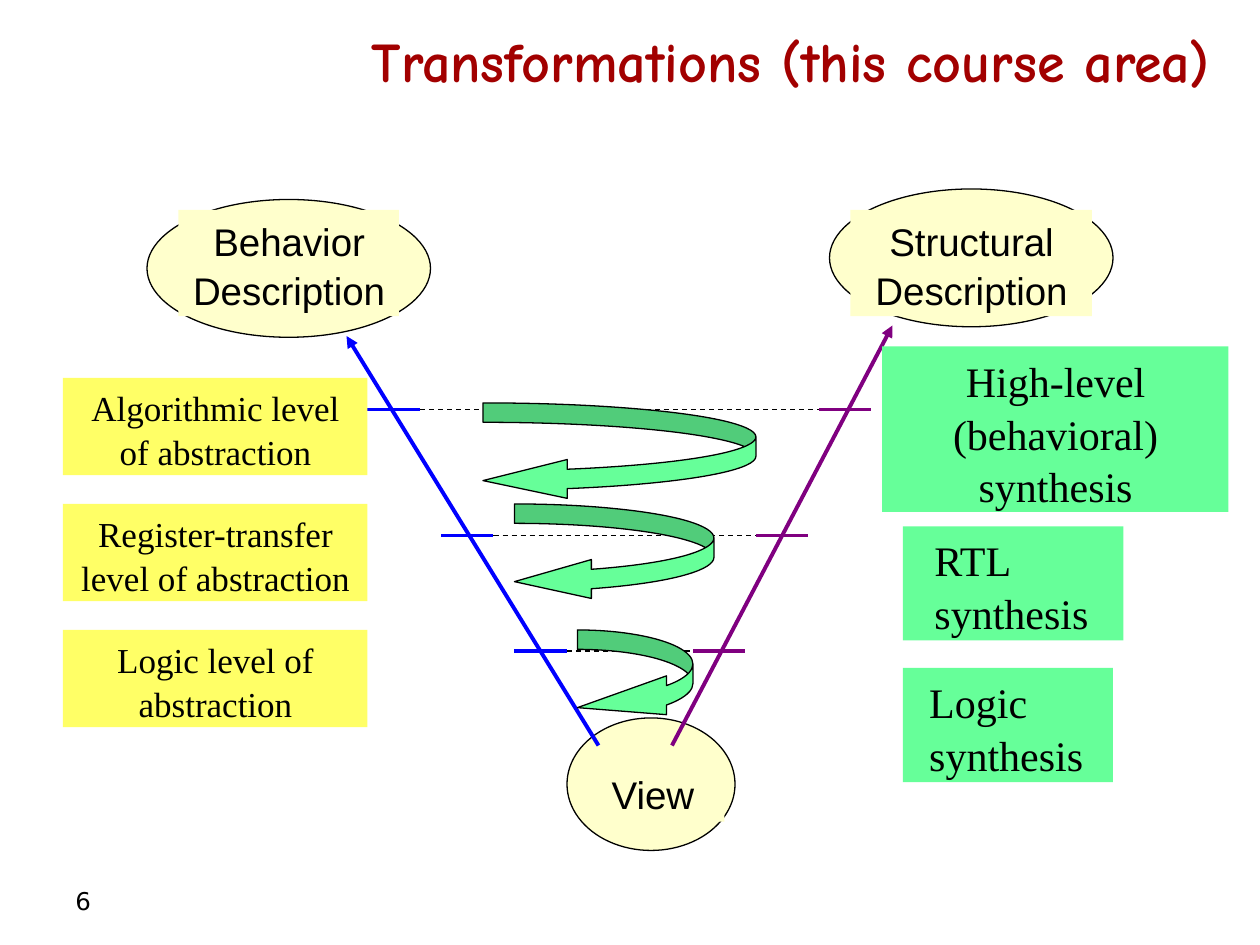
"""Build the slide on transformations between behavior and structure."""
from lxml import etree
from pptx import Presentation
from pptx import util as u
from pptx.dml.color import RGBColor
from pptx.enum import dml, shapes, text
from pptx.oxml.ns import qn

PX = 9525
COLORS = {
    "ink": "000000", "title": "A20000", "cream": "FFFFCC", "yellow": "FFFF66",
    "green": "66FF99", "behavior": "0000FF", "structure": "800080",
}
LEFT, CENTER, RIGHT = text.PP_ALIGN.LEFT, text.PP_ALIGN.CENTER, text.PP_ALIGN.RIGHT


class Diagram:
    """Draws styled elements on one slide, with lengths in px."""

    def __init__(self, slide):
        self.slide = slide

    def color(self, name):
        return RGBColor.from_string(COLORS[name])

    def set_words(self, frame, words, size, font, color="ink", align=LEFT, bold=False):
        frame.word_wrap = True
        frame.text = words
        paragraph = frame.paragraphs[0]
        paragraph.alignment = align
        for run in paragraph.runs:
            run.font.size = u.Pt(size)
            run.font.name = font
            run.font.bold = bold
            run.font.color.rgb = self.color(color)

    def label(self, box, words, size, font, **style):
        frame = self.slide.shapes.add_textbox(*(n * PX for n in box)).text_frame
        frame.vertical_anchor = text.MSO_ANCHOR.MIDDLE
        self.set_words(frame, words, size, font, **style)

    def shape(self, kind, box, fill, outlined=True):
        part = self.slide.shapes.add_shape(kind, *(n * PX for n in box))
        part.shadow.inherit = False
        part.fill.solid()
        part.fill.fore_color.rgb = self.color(fill)
        if outlined:
            part.line.color.rgb = self.color("ink")
            part.line.width = u.Pt(0.75)
        else:
            part.line.fill.background()
        return part

    def ellipse(self, box):
        self.shape(shapes.MSO_SHAPE.OVAL, box, "cream")

    def panel(self, box, fill, words, size, font, align=CENTER, indent=10):
        part = self.shape(shapes.MSO_SHAPE.RECTANGLE, box, fill, outlined=False)
        frame = part.text_frame
        frame.vertical_anchor = text.MSO_ANCHOR.TOP
        frame.margin_left = indent * PX
        self.set_words(frame, words, size, font, align=align)
        frame.paragraphs[0].line_spacing = 1.05

    def turn(self, box, head):
        arrow = self.shape(shapes.MSO_SHAPE.CURVED_RIGHT_ARROW, box, "green")
        for index, value in enumerate((0.2, 0.4, head)):
            arrow.adjustments[index] = value
        arrow.element.spPr.find(qn("a:xfrm")).set("flipH", "1")

    def line(self, start, end, color, width=2.25, dashed=False, arrow=False):
        ends = (n * PX for n in (*start, *end))
        link = self.slide.shapes.add_connector(shapes.MSO_CONNECTOR.STRAIGHT, *ends)
        link.line.color.rgb = self.color(color)
        link.line.width = u.Pt(width)
        properties = link.element.spPr
        if dashed:
            link.line.dash_style = dml.MSO_LINE.DASH
        if arrow:
            etree.SubElement(properties.find(qn("a:ln")), qn("a:tailEnd"), type="triangle")
        etree.SubElement(properties, qn("a:effectLst"))


def main():
    deck = Presentation()
    deck.slide_width, deck.slide_height = 960 * PX, 720 * PX
    diagram = Diagram(deck.slides.add_slide(deck.slide_layouts[6]))

    diagram.label((48, 667, 224, 38), "6", 14, "DejaVu Sans")
    diagram.label((61, 12, 871, 67), "Transformations (this course area)", 32,
                  "Comic Neue", color="title", align=RIGHT, bold=True)

    diagram.ellipse((432, 547, 128, 101))
    diagram.panel((456, 581, 96, 45), "cream", "View", 22, "Arial", align=LEFT)
    diagram.line((456, 568), (264, 256), "behavior", arrow=True)
    diagram.line((512, 568), (680, 248), "structure", arrow=True)

    for oval, box, words in (
        ((112, 152, 216, 105), (136, 160, 168, 81), "Behavior Description"),
        ((632, 144, 216, 105), (648, 160, 184, 81), "Structural Description"),
    ):
        diagram.ellipse(oval)
        diagram.panel(box, "cream", words, 22, "Arial")

    tick = 40
    levels = (
        (312, 280, 624, "Algorithmic level of abstraction",
         (368, 307, 208, 74), 0.867,
         (672, 264, 264, 126), "High-level (behavioral) synthesis", CENTER, 10),
        (408, 336, 576, "Register-transfer level of abstraction",
         (392, 384, 152, 74), 0.792,
         (688, 401, 168, 87), "RTL synthesis", LEFT, 24),
        (496, 392, 528, "Logic level of abstraction",
         (440, 480, 88, 74), 0.917,
         (688, 509, 160, 87), "Logic synthesis", LEFT, 20),
    )
    for row, (y, left, right, level, turn, head, box, synthesis, align, indent) in enumerate(levels):
        diagram.line((left, y), (left + tick, y), "behavior")
        diagram.line((right, y), (right + tick, y), "structure")
        diagram.line((left + tick, y), (right, y), "ink", width=0.75, dashed=True)
        diagram.panel((48, 288 + 96 * row, 232, 74), "yellow", level, 20, "Times New Roman")
        diagram.turn(turn, head)
        diagram.panel(box, "green", synthesis, 24, "Times New Roman", align, indent)

    deck.save("out.pptx")


if __name__ == "__main__":
    main()
